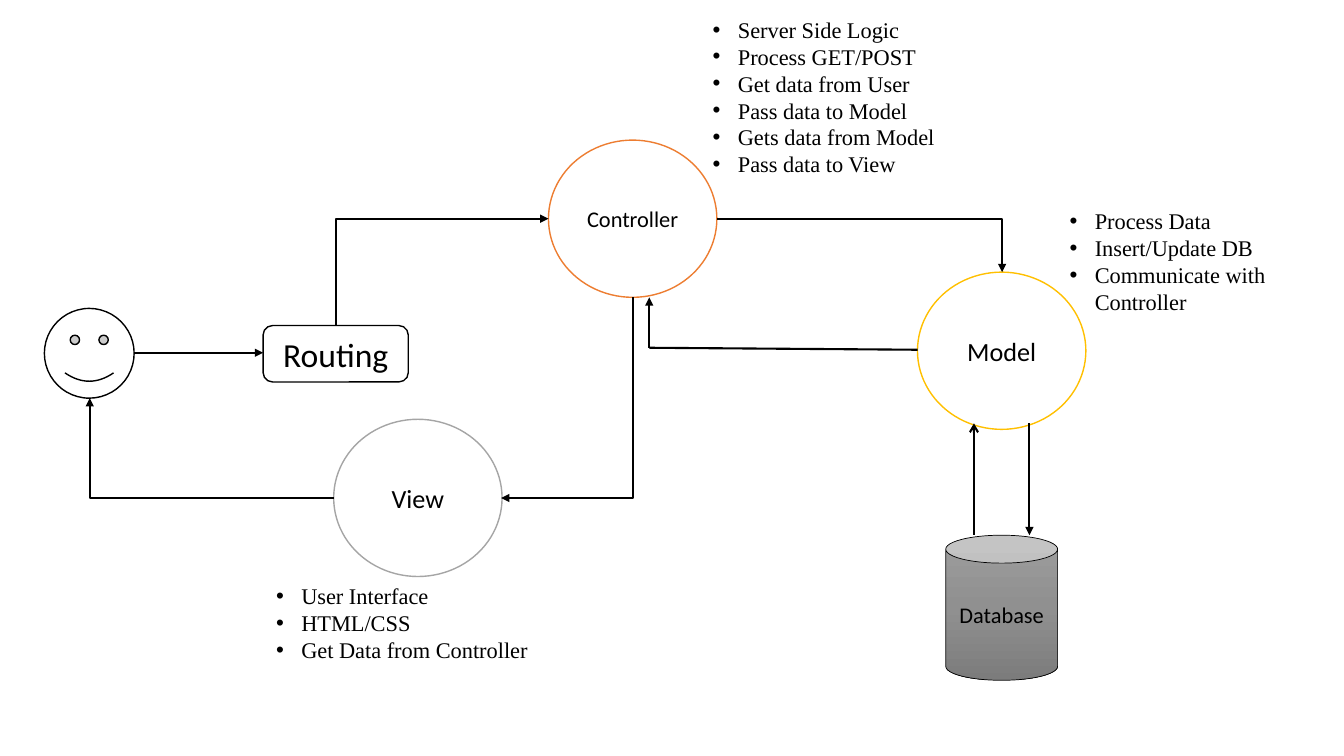
from copy import deepcopy
from dataclasses import dataclass

from pptx import Presentation
from pptx.dml.color import RGBColor
from pptx.enum.shapes import MSO_CONNECTOR, MSO_SHAPE
from pptx.enum.text import MSO_ANCHOR, MSO_AUTO_SIZE, PP_ALIGN
from pptx.oxml.ns import qn
from pptx.oxml.xmlchemy import OxmlElement
from pptx.shapes.autoshape import Shape
from pptx.slide import Slide
from pptx.util import Inches, Pt

ELLIPSE = MSO_SHAPE.OVAL
SMILEY = MSO_SHAPE.SMILEY_FACE
ROUNDED = MSO_SHAPE.ROUNDED_RECTANGLE
CAN = MSO_SHAPE.CAN
STRAIGHT = MSO_CONNECTOR.STRAIGHT
ELBOW = MSO_CONNECTOR.ELBOW
CENTER = PP_ALIGN.CENTER
MIDDLE = MSO_ANCHOR.MIDDLE
GROW = MSO_AUTO_SIZE.SHAPE_TO_FIT_TEXT


@dataclass(frozen=True)
class Theme:
    ink: str = "000000"
    paper: str = "FFFFFF"
    controller: str = "ED7D31"
    view: str = "A5A5A5"
    model: str = "FFC000"
    database: tuple[str, ...] = ("9D9D9D", "909090", "7C7C7C")
    label_font: str = "Calibri"
    note_font: str = "Times New Roman"
    small: float = 16
    medium: float = 18.7
    large: float = 24
    outline: float = 1
    thin_outline: float = 0.5
    flow: float = 1.5


THEME = Theme()


@dataclass(frozen=True)
class Node:
    kind: int
    left: float
    top: float
    width: float
    height: float
    label: str = ""
    size: float = THEME.small
    outline: str = THEME.ink
    outline_width: float = THEME.outline
    gradient: tuple[str, ...] = ()


@dataclass(frozen=True)
class Flow:
    """An arrow; turn is "" for straight, or the leg an elbow takes first."""
    start: tuple[float, float]
    end: tuple[float, float]
    turn: str = ""
    head: str = ""
    tail: str = "triangle"


@dataclass(frozen=True)
class Note:
    left: float
    top: float
    width: float
    height: float
    items: tuple[str, ...]
    wrap: bool = False


def circle(left: float, top: float, label: str, size: float, outline: str) -> Node:
    return Node(ELLIPSE, left, top, 1.67, 1.56, label, size, outline)


NODES = (
    Node(SMILEY, 0.44, 3.06, 0.89, 0.89),
    Node(ROUNDED, 2.61, 3.23, 1.44, 0.56, "Routing", THEME.large),
    circle(5.44, 1.39, "Controller", THEME.small, THEME.controller),
    circle(3.31, 4.16, "View", THEME.medium, THEME.view),
    circle(9.1, 2.7, "Model", THEME.medium, THEME.model),
    Node(CAN, 9.38, 5.31, 1.11, 1.44, "Database",
         outline_width=THEME.thin_outline, gradient=THEME.database),
)

FLOWS = (
    Flow((1.33, 3.5), (2.61, 3.5)),
    Flow((3.33, 3.23), (5.44, 2.17), "vertical"),
    Flow((7.11, 2.17), (9.94, 2.7), "horizontal"),
    Flow((9.1, 3.47), (6.44, 3.45), tail=""),
    Flow((6.44, 3.45), (6.44, 2.95)),
    Flow((10.21, 4.2), (10.21, 5.31)),
    Flow((9.66, 4.2), (9.66, 5.31), head="arrow", tail=""),
    Flow((3.31, 4.94), (0.89, 3.95), "horizontal"),
    Flow((6.28, 2.95), (4.97, 4.94), "vertical"),
)

NOTES = (
    Note(10.51, 2.01, 2.54, 1.18,
         ("Process Data", "Insert/Update DB", "Communicate with Controller"), wrap=True),
    Note(2.64, 5.73, 2.74, 1.18,
         ("User Interface", "HTML/CSS", "Get Data from Controller")),
    Note(6.97, 0.11, 2.44, 1.72,
         ("Server Side Logic", "Process GET/POST", "Get data from User",
          "Pass data to Model", "Gets data from Model", "Pass data to View")),
)


def rgb(value: str) -> RGBColor:
    return RGBColor.from_string(value)


def style_font(paragraph, name: str, size: float) -> None:
    for run in paragraph.runs:
        run.font.name = name
        run.font.size = Pt(size)
        run.font.color.rgb = rgb(THEME.ink)


def fill_gradient(shape: Shape, colours: tuple[str, ...]) -> None:
    """Fill from top to bottom with three evenly spaced stops."""
    shape.fill.gradient()
    shape.fill.gradient_angle = 270
    stops = shape.element.spPr.find(qn("a:gradFill")).find(qn("a:gsLst"))
    stops.insert(1, deepcopy(stops[0]))
    for index, (stop, colour) in enumerate(zip(shape.fill.gradient_stops, colours)):
        stop.color.rgb = rgb(colour)
        stop.position = index / (len(colours) - 1)


def draw_node(slide: Slide, node: Node) -> None:
    shape = slide.shapes.add_shape(
        node.kind, *map(Inches, (node.left, node.top, node.width, node.height)))
    shape.shadow.inherit = False
    if node.gradient:
        fill_gradient(shape, node.gradient)
    else:
        shape.fill.solid()
        shape.fill.fore_color.rgb = rgb(THEME.paper)
    shape.line.color.rgb = rgb(node.outline)
    shape.line.width = Pt(node.outline_width)
    if node.label:
        frame = shape.text_frame
        frame.text = node.label
        frame.vertical_anchor = MIDDLE
        frame.paragraphs[0].alignment = CENTER
        style_font(frame.paragraphs[0], THEME.label_font, node.size)


def draw_flow(slide: Slide, flow: Flow) -> None:
    """Draw an arrow; a vertical-first elbow is a horizontal-first one turned by 90°."""
    (x1, y1), (x2, y2) = flow.start, flow.end
    if flow.turn == "vertical":
        mid_x, mid_y = (x1 + x2) / 2, (y1 + y2) / 2
        half_x, half_y = (y2 - y1) / 2, (x1 - x2) / 2
        x1, y1, x2, y2 = mid_x - half_x, mid_y - half_y, mid_x + half_x, mid_y + half_y
    connector = slide.shapes.add_connector(
        ELBOW if flow.turn else STRAIGHT, *map(Inches, (x1, y1, x2, y2)))
    connector.line.color.rgb = rgb(THEME.ink)
    connector.line.width = Pt(THEME.flow)
    properties = connector.element.spPr
    if flow.turn:
        properties.find(qn("a:prstGeom")).set("prst", "bentConnector2")
    if flow.turn == "vertical":
        properties.find(qn("a:xfrm")).set("rot", "5400000")
    for tag, arrow in (("a:headEnd", flow.head), ("a:tailEnd", flow.tail)):
        if arrow:
            tip = OxmlElement(tag)
            tip.set("type", arrow)
            properties.find(qn("a:ln")).append(tip)
    properties.append(OxmlElement("a:effectLst"))


def add_bullet(paragraph) -> None:
    properties = paragraph._p.get_or_add_pPr()
    properties.set("marL", str(Inches(0.25)))
    properties.set("indent", str(-Inches(0.25)))
    for tag, key, value in (("a:buFont", "typeface", "Arial"), ("a:buChar", "char", "•")):
        bullet = OxmlElement(tag)
        bullet.set(key, value)
        properties.append(bullet)


def draw_note(slide: Slide, note: Note) -> None:
    frame = slide.shapes.add_textbox(
        *map(Inches, (note.left, note.top, note.width, note.height))).text_frame
    frame.word_wrap = note.wrap
    frame.auto_size = GROW
    frame.text = "\n".join(note.items)
    for paragraph in frame.paragraphs:
        add_bullet(paragraph)
        style_font(paragraph, THEME.note_font, THEME.small)


def main() -> None:
    deck = Presentation()
    deck.slide_width, deck.slide_height = Inches(13.33), Inches(7.5)
    slide = deck.slides.add_slide(deck.slide_layouts[6])
    for node in NODES:
        draw_node(slide, node)
    for flow in FLOWS:
        draw_flow(slide, flow)
    for note in NOTES:
        draw_note(slide, note)
    deck.save("out.pptx")


if __name__ == "__main__":
    main()
